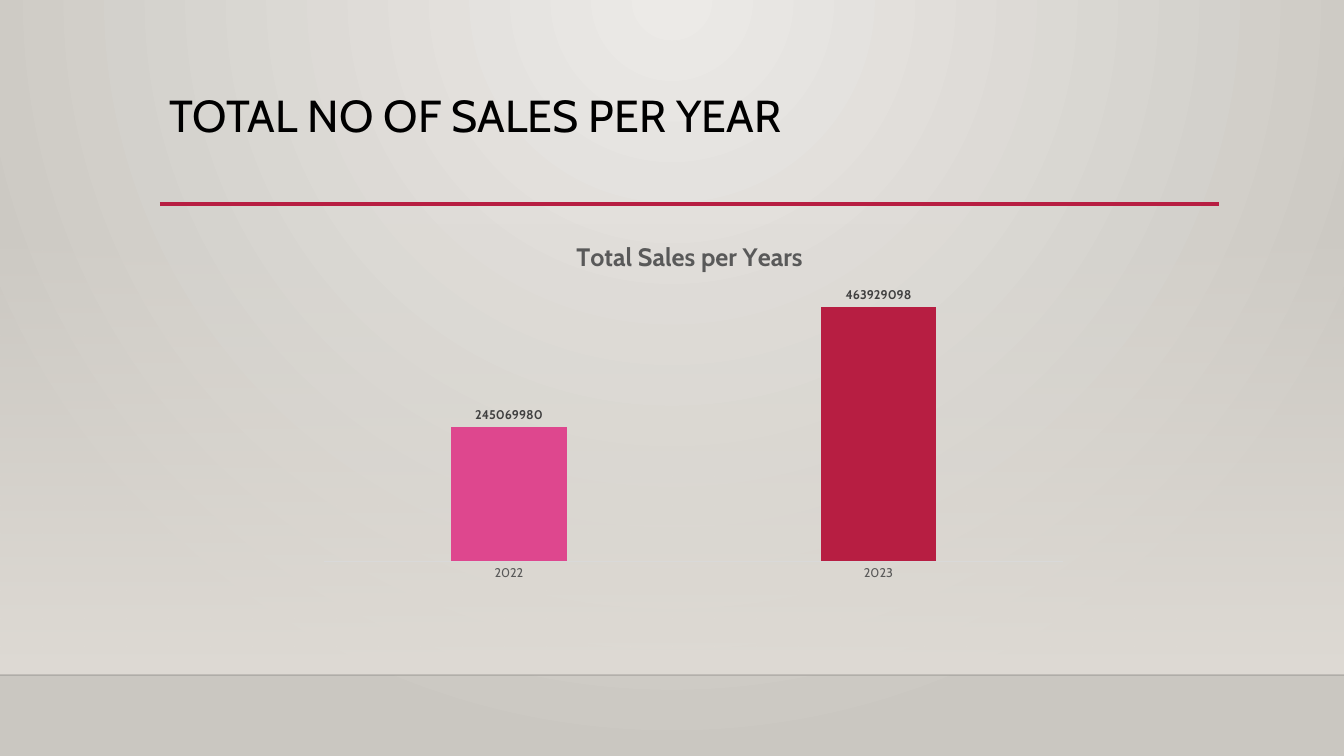
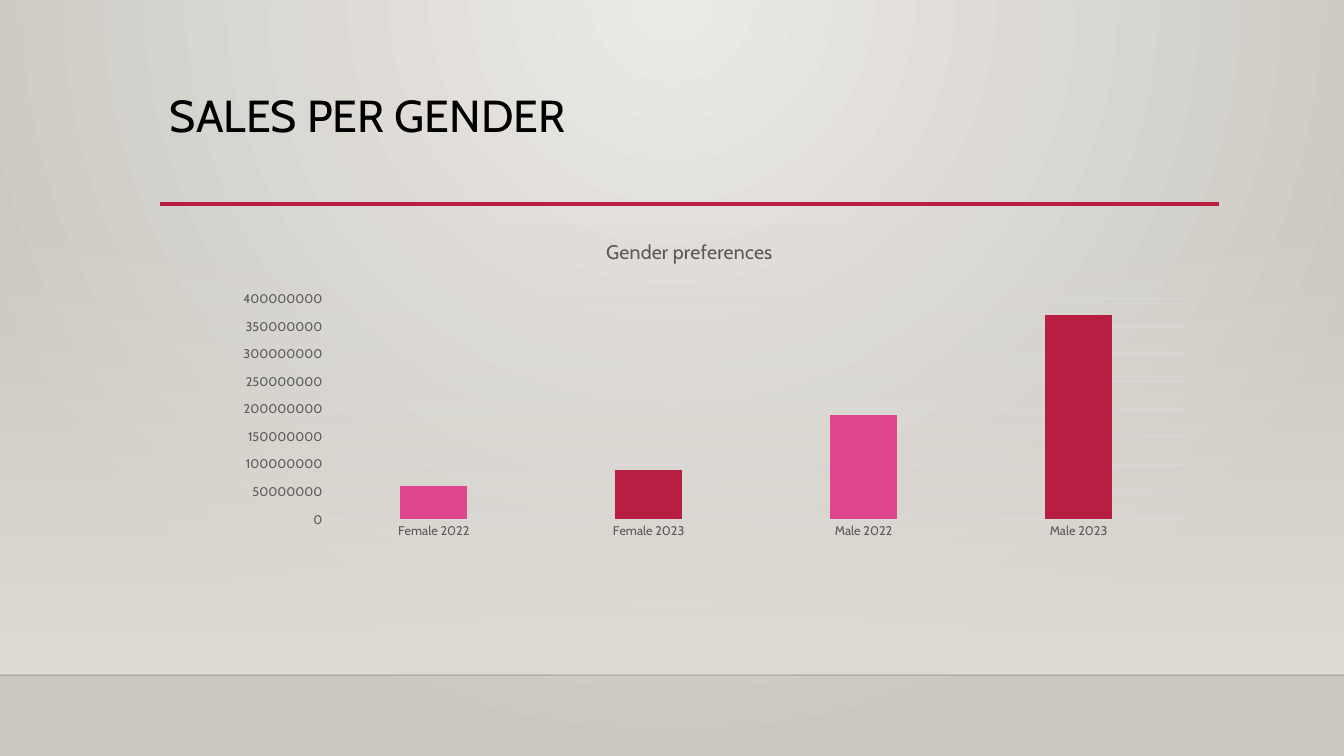
from pptx import Presentation
from pptx.chart.data import CategoryChartData
from pptx.dml.color import RGBColor
from pptx.enum.chart import XL_CHART_TYPE, XL_LABEL_POSITION, XL_TICK_MARK
from pptx.enum.shapes import MSO_CONNECTOR, MSO_SHAPE
from pptx.enum.text import MSO_ANCHOR
from pptx.oxml import parse_xml
from pptx.oxml.ns import nsdecls, qn
from pptx.util import Pt

COLUMN = XL_CHART_TYPE.COLUMN_CLUSTERED
OUTSIDE = XL_LABEL_POSITION.OUTSIDE_END
NO_TICK = XL_TICK_MARK.NONE
STRAIGHT = MSO_CONNECTOR.STRAIGHT
RECT = MSO_SHAPE.RECTANGLE
TOP = MSO_ANCHOR.TOP

FONT = "Cabin"
BLACK = RGBColor(0x00, 0x00, 0x00)
RED = RGBColor(0xB7, 0x1E, 0x42)
PINK = RGBColor(0xDE, 0x47, 0x8E)
GREY = RGBColor(0x59, 0x59, 0x59)
DARK = RGBColor(0x40, 0x40, 0x40)
PALE = RGBColor(0xD9, 0xD9, 0xD9)
SAND = RGBColor(0xDF, 0xDB, 0xD5)
LIGHT = RGBColor(0xEC, 0xEA, 0xE7)
STONE = RGBColor(0xCA, 0xC7, 0xC1)

WIDE, HIGH = 1344, 756
LEFT, SPAN = 160, 1059
FLOOR = 675
GLOW = ('<a:path path="circle">'
        '<a:fillToRect l="43000" t="0" r="43000" b="100000"/></a:path>')
DOWN = '<a:lin ang="5400000" scaled="0"/>'


def px(count):
    """Turn pixels into EMU."""
    return round(count * 914400 / 100.8)


def style(font, size, color, bold=False):
    """Set the face, size and colour of a font."""
    font.name = FONT
    font.size = Pt(size)
    font.bold = bold
    font.color.rgb = color


def blend(root, first, last, alpha, shade):
    """Swap the solid fill under root for a gradient."""
    solid = next(root.iter(qn("a:solidFill")))
    solid.getparent().replace(solid, parse_xml(
        f'<a:gradFill {nsdecls("a")} rotWithShape="1"><a:gsLst>'
        f'<a:gs pos="0"><a:srgbClr val="{first}">'
        f'<a:alpha val="{alpha * 1000}"/></a:srgbClr></a:gs>'
        f'<a:gs pos="100000"><a:srgbClr val="{last}"/></a:gs>'
        f'</a:gsLst>{shade}</a:gradFill>'))


def add_rule(slide, left, top, width, color, weight, alpha=100):
    """Draw a level line."""
    rule = slide.shapes.add_connector(
        STRAIGHT, px(left), px(top), px(left + width), px(top))
    rule.line.color.rgb = color
    rule.line.width = Pt(weight)
    tint = next(rule.element.iter(qn("a:srgbClr")))
    if alpha < 100:
        tint.append(parse_xml(
            f'<a:alpha {nsdecls("a")} val="{alpha * 1000}"/>'))
    rule.element.spPr.append(parse_xml(f'<a:effectLst {nsdecls("a")}/>'))


def add_title(slide, text):
    """Write the slide title."""
    box = slide.shapes.add_textbox(px(LEFT), px(89), px(SPAN), px(116))
    frame = box.text_frame
    frame.word_wrap = True
    frame.vertical_anchor = TOP
    frame.text = text
    line = frame.paragraphs[0]
    line.line_spacing = 0.9
    style(line.runs[0].font, 32, BLACK)


def add_page(deck, title):
    """Add a slide with the shared backdrop, rules and title."""
    slide = deck.slides.add_slide(deck.slide_layouts[6])
    slide.background.fill.solid()
    slide.background.fill.fore_color.rgb = LIGHT
    blend(slide.element, LIGHT, STONE, 100, GLOW)
    wall = slide.shapes.add_shape(RECT, 0, px(223), px(WIDE), px(FLOOR - 223))
    wall.shadow.inherit = False
    wall.line.fill.background()
    wall.fill.solid()
    wall.fill.fore_color.rgb = SAND
    blend(wall.element, SAND, SAND, 0, DOWN)
    add_rule(slide, 0, FLOOR, WIDE, BLACK, 1, 20)
    add_rule(slide, LEFT, 204, SPAN, RED, 2.5)
    add_title(slide, title)
    return slide


def clear_fill():
    """Build chart properties with no fill and no line."""
    return parse_xml(f'<c:spPr {nsdecls("c", "a")}><a:noFill/>'
                     '<a:ln><a:noFill/></a:ln></c:spPr>')


def place_plot(chart, plot):
    """Fix the inner plot area and clear the backs."""
    area = chart.element.chart.plotArea
    for old in area.findall(qn("c:layout")):
        area.remove(old)
    spots = "".join(f'<c:{key} val="{val}"/>' for key, val in zip("xywh", plot))
    area.insert(0, parse_xml(
        f'<c:layout {nsdecls("c")}><c:manualLayout>'
        '<c:layoutTarget val="inner"/><c:xMode val="edge"/>'
        f'<c:yMode val="edge"/>{spots}</c:manualLayout></c:layout>'))
    area.append(clear_fill())
    chart.element.chart.addnext(clear_fill())


def add_bars(slide, title, size, bold, data, peak, plot):
    """Add a column chart in two turning colours."""
    table = CategoryChartData()
    table.categories = list(data)
    table.add_series("Series 1", list(data.values()))
    chart = slide.shapes.add_chart(
        COLUMN, px(LEFT), px(222), px(SPAN), px(380), table).chart
    style(chart.font, 10, BLACK)
    chart.has_legend = False
    chart.has_title = True
    head = chart.chart_title.text_frame
    head.text = title
    style(head.paragraphs[0].runs[0].font, size, GREY, bold)
    bars = chart.plots[0]
    bars.gap_width = 219
    bars.overlap = -27
    bars.vary_by_categories = False
    row = bars.series[0]
    row.format.fill.solid()
    row.format.fill.fore_color.rgb = PINK
    for spot in range(1, len(data), 2):
        fill = row.points[spot].format.fill
        fill.solid()
        fill.fore_color.rgb = RED
    for axis in (chart.category_axis, chart.value_axis):
        axis.major_tick_mark = axis.minor_tick_mark = NO_TICK
        style(axis.tick_labels.font, 9, GREY)
    base = chart.category_axis.format.line
    base.color.rgb = PALE
    base.width = Pt(0.75)
    scale = chart.value_axis
    scale.minimum_scale = 0
    scale.maximum_scale = peak
    scale.format.line.fill.background()
    place_plot(chart, plot)
    return chart


def add_labels(chart):
    """Show values above the bars in place of the scale."""
    chart.value_axis.visible = False
    chart.value_axis.has_major_gridlines = False
    labels = chart.plots[0].series[0].data_labels
    labels.show_value = True
    labels.position = OUTSIDE
    style(labels.font, 9, DARK, True)


def add_grid(chart, step):
    """Draw grid lines at each step of the scale."""
    scale = chart.value_axis
    scale.major_unit = step
    scale.has_major_gridlines = True
    line = scale.major_gridlines.format.line
    line.color.rgb = PALE
    line.width = Pt(0.75)


def main():
    """Build and save the deck."""
    deck = Presentation()
    deck.slide_width, deck.slide_height = px(WIDE), px(HIGH)

    slide = add_page(deck, "TOTAL NO OF SALES PER YEAR")
    sales = {"2022": 245069980, "2023": 463929098}
    add_labels(add_bars(slide, "Total Sales per Years", 18, True, sales,
                        500000000, (0.155, 0.172, 0.698, 0.721)))

    slide = add_page(deck, "SALES PER GENDER")
    sales = {"Female 2022": 60000000, "Female 2023": 90000000,
             "Male 2022": 190000000, "Male 2023": 370000000}
    add_grid(add_bars(slide, "Gender preferences", 14, False, sales,
                      400000000, (0.157, 0.202, 0.812, 0.581)), 50000000)

    deck.save("out.pptx")


if __name__ == "__main__":
    main()
